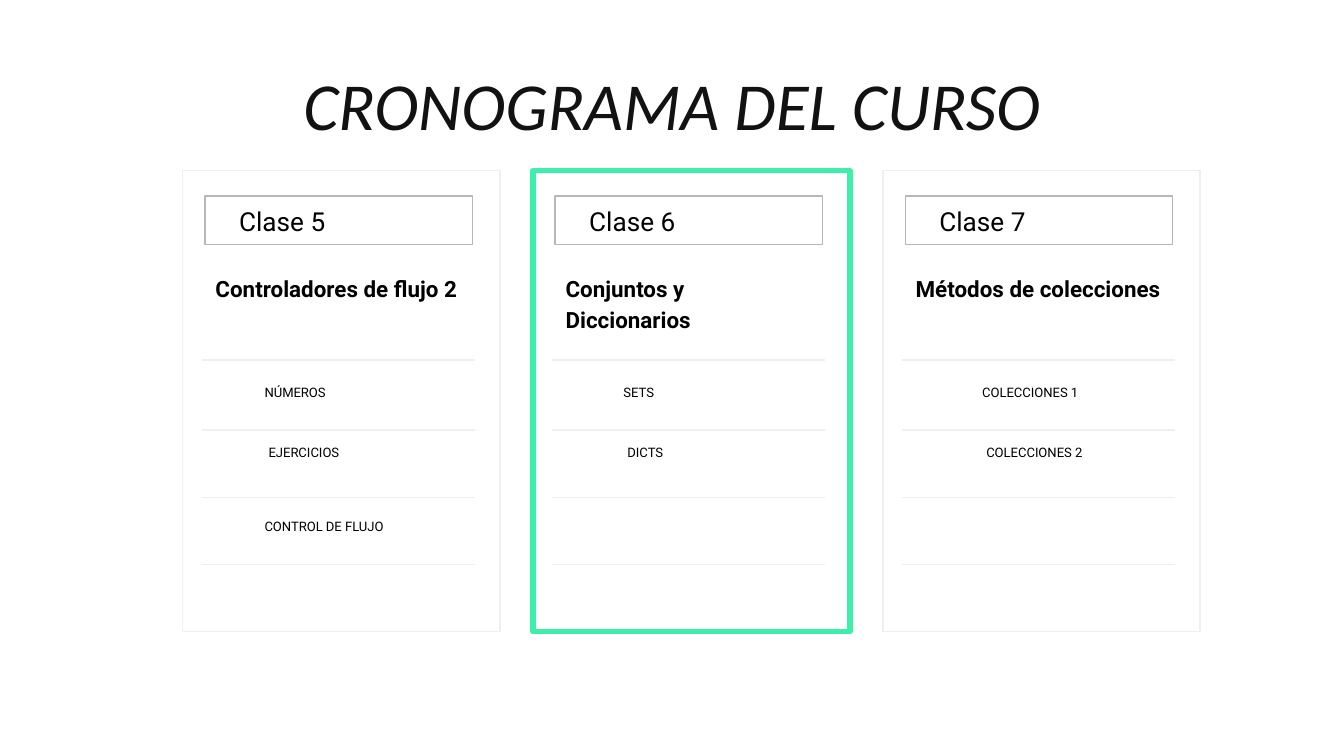
import pptx
import pptx.dml.color
import pptx.enum.shapes
import pptx.enum.text
import pptx.oxml.ns
import pptx.util
from lxml import etree

SCALE = 4572

THEME = {
    "highlight": {"color": "3CEFAB", "width": 3},
    "outline": {"color": "EFEFEF", "width": 0.75},
    "label": {"color": "B7B7B7", "width": 0.75},
    "title": {"name": "Calibri", "size": 36, "color": "121212", "italic": True},
    "class": {"name": "Roboto", "size": 14, "color": "000000"},
    "heading": {"name": "Roboto", "size": 12, "color": "000000", "bold": True},
    "topic": {"name": "Roboto", "size": 7, "color": "000000"},
}

CLASSES = [
    ("Clase 5", "Controladores de flujo 2", ["NÚMEROS", "EJERCICIOS", "CONTROL DE FLUJO"]),
    ("Clase 6", "Conjuntos y Diccionarios", ["SETS", "DICTS"]),
    ("Clase 7", "Métodos de colecciones", ["COLECCIONES 1", "COLECCIONES 2"]),
]
CURRENT_CLASS = 1
RULE_TOPS = [282, 386, 486, 586]
TOPIC_SPOTS = [(0, 306), (6, 396), (0, 506)]


def emu(*lengths):
    """Turn px lengths into EMU."""
    return [pptx.util.Emu(length * SCALE) for length in lengths]


def set_line(line, style):
    """Give a line its theme colour and width."""
    line.color.rgb = pptx.dml.color.RGBColor.from_string(THEME[style]["color"])
    line.width = pptx.util.Pt(THEME[style]["width"])


def add_text(page, box, words, style, frame_format=None, para_format=None):
    """Place one paragraph of styled text in a box."""
    frame = page.shapes.add_textbox(*emu(*box)).text_frame
    margins = {f"margin_{side}": emu(20)[0] for side in ("left", "top", "right", "bottom")}
    for key, value in {"word_wrap": True, **margins, **(frame_format or {})}.items():
        setattr(frame, key, value)
    para = frame.paragraphs[0]
    for key, value in (para_format or {}).items():
        setattr(para, key, value)
    span = para.add_run()
    span.text = words
    font_format = dict(THEME[style])
    span.font.color.rgb = pptx.dml.color.RGBColor.from_string(font_format.pop("color"))
    font_format["size"] = pptx.util.Pt(font_format["size"])
    for key, value in font_format.items():
        setattr(span.font, key, value)


def add_frame(page, box, style):
    """Place an unfilled outlined rectangle."""
    frame = page.shapes.add_shape(pptx.enum.shapes.MSO_SHAPE.RECTANGLE, *emu(*box))
    frame.shadow.inherit = False
    frame.fill.background()
    set_line(frame.line, style)


def add_rule(page, left, top, width):
    """Place a horizontal dividing line."""
    rule = page.shapes.add_connector(
        pptx.enum.shapes.MSO_CONNECTOR.STRAIGHT, *emu(left, top, left + width, top)
    )
    set_line(rule.line, "outline")
    properties = rule._element.spPr
    etree.SubElement(properties, pptx.oxml.ns.qn("a:effectLst"))


def add_title(page, box):
    """Place the centred slide title."""
    add_text(
        page, box, "CRONOGRAMA DEL CURSO", "title",
        {"vertical_anchor": pptx.enum.text.MSO_ANCHOR.MIDDLE},
        {"alignment": pptx.enum.text.PP_ALIGN.CENTER},
    )


def add_class_card(page, box, label, heading, topics, topic_inset, outline):
    """Place a class card with its label, heading and topic rows."""
    left, top = box[:2]
    add_frame(page, box, outline)
    add_frame(page, (left + 33, top + 38, 398, 72), "label")
    add_text(page, (left + 64, top + 32, 270, 80), label, "class")
    add_text(
        page, (left + 29, top + 130, 406, 92), heading, "heading",
        para_format={"line_spacing": 1.15},
    )
    for rule_top in RULE_TOPS:
        add_rule(page, left + 29, top + rule_top, 406)
    for topic, (shift, topic_top) in zip(topics, TOPIC_SPOTS):
        topic_box = (left + topic_inset + shift, top + topic_top, 304, 62)
        add_text(page, topic_box, topic, "topic")


def main():
    """Build and save the course schedule slide."""
    deck = pptx.Presentation()
    deck.slide_width, deck.slide_height = emu(2000, 1125)
    page = deck.slides.add_slide(deck.slide_layouts[6])
    add_title(page, (306, 46, 1388, 216))
    for index, (label, heading, topics) in enumerate(CLASSES):
        outline = "highlight" if index == CURRENT_CLASS else "outline"
        box = (272 + 521 * index, 254, 472, 686)
        add_class_card(page, box, label, heading, topics, 102 + 13 * index, outline)
    deck.save("out.pptx")


if __name__ == "__main__":
    main()
